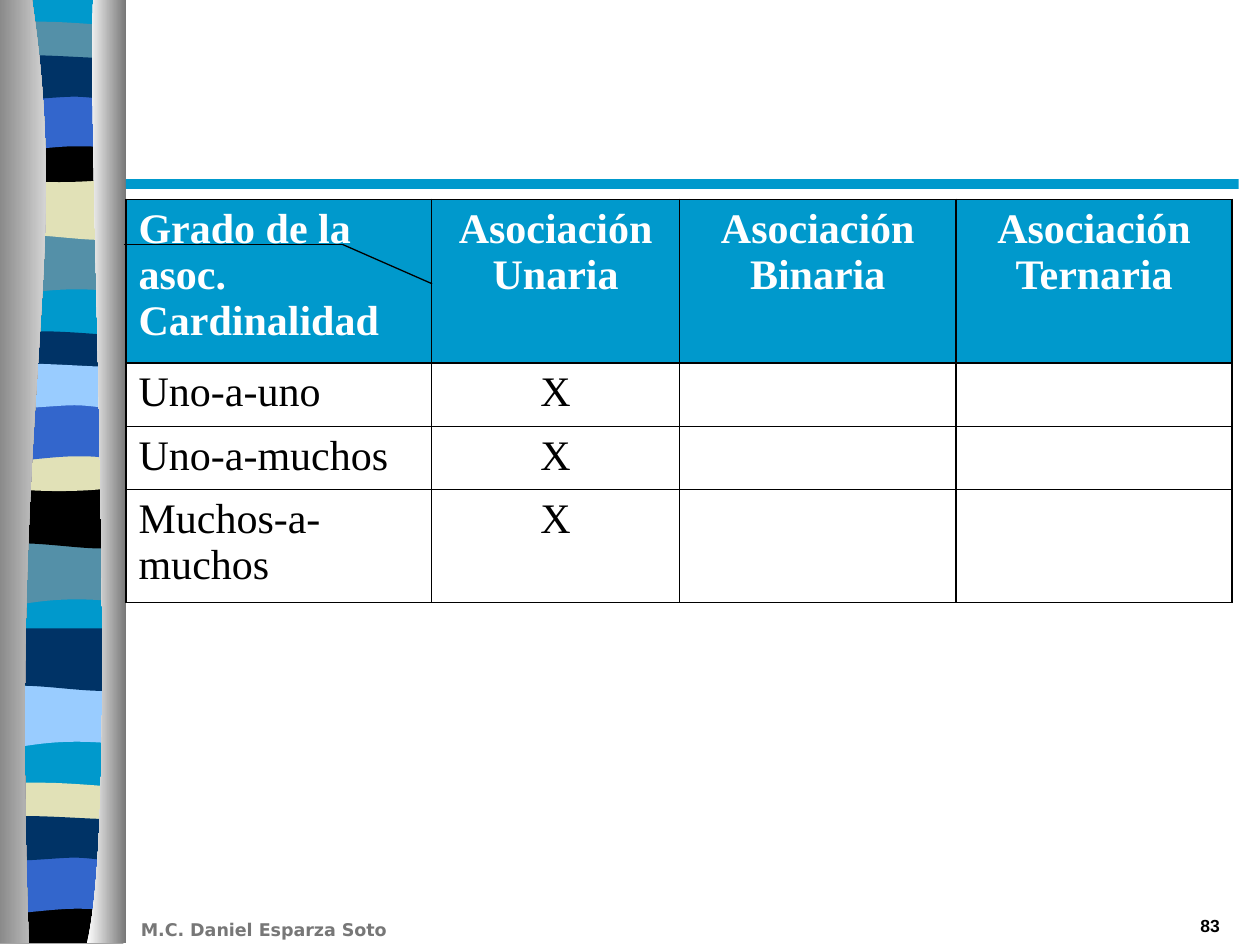
"""Build the association degree and cardinality table slide with its striped side ornament."""
from lxml import etree
from pptx import Presentation
from pptx import util as u
from pptx.dml.color import RGBColor
from pptx.enum import shapes, text
from pptx.oxml import ns

COLORS = {
    "cyan": "0099CC", "teal": "5490A8", "sand": "E1E1B7", "navy": "003366",
    "blue": "3366CC", "sky": "99CCFF", "black": "000000", "white": "FFFFFF",
    "gray": "767676", "footer": "777777",
}
RGB = {name: RGBColor.from_string(value) for name, value in COLORS.items()}

OUTLINES = {
    "tail": [(2.49, 0), (2.49, 1.19), (0.69, 0.99, 0.33, 1.4, -0.13, 1.19), (-0.13, 0)],
    "swell": [(2.49, 0), (2.49, 1.19), (2.06, 1.4, 0.69, 1.04, -0.1, 1.19), (-0.1, 0)],
    "thin": [(2.49, 0.13), (2.49, 0.74), (2.06, 0.86, 0.33, 0.86, -0.13, 0.74), (-0.13, 0.13),
             (0.05, 0, 0.46, 0.03, 0.89, 0.03), (1.32, 0.03, 2.16, 0.1, 2.49, 0.13)],
    "dip": [(2.49, 0), (2.49, 0.81), (2.06, 0.97, 0.33, 0.97, -0.13, 0.81), (-0.13, 0),
            (1.5, 0.13, 1.96, 0, 2.49, 0)],
    "arch": [(2.49, 0), (2.49, 1.19), (2.08, 1.07, 1.93, 1.07, 1.5, 1.07),
             (1.07, 1.07, 0.28, 1.19, -0.13, 1.19), (-0.13, 0)],
    "wave": [(2.49, 0.13), (2.49, 0.91), (2.34, 1.04, 1.93, 0.91, 1.5, 0.91),
             (1.07, 0.91, 0.15, 1.04, -0.13, 0.91), (-0.13, 0.13),
             (0.25, 0, 1.65, 0.13, 2.08, 0.13)],
    "base": [(2.49, 0), (2.49, 0.94), (-0.13, 0.94), (-0.13, 0), (1.5, 0.13, 1.96, 0, 2.49, 0)],
    "back": [(2.49, 0), (2.49, 18.97), (-0.13, 18.97), (-0.13, 0)],
    "left pillar": [(0.64, -0.03), (1.47, 5.49, 0.18, 7.52, 0.58, 19.02),
                    (-0.23, 19.02), (-0.25, -0.03)],
    "right pillar": [(1.88, -0.03), (1.75, 3.18, 2.44, 16.41, 1.75, 19.02),
                     (2.55, 19.02), (2.55, 0)],
}
STRIPES = [
    ("back", 0, "cyan"),
    ("tail", 4.7, "teal"), ("swell", 3.58, "sand"), ("thin", 0.41, "teal"),
    ("dip", 2.74, "black"), ("arch", 1.88, "blue"), ("wave", 1.04, "navy"),
    ("tail", 10.95, "teal"), ("swell", 9.8, "black"), ("thin", 6.65, "navy"),
    ("dip", 8.97, "sand"), ("arch", 8.13, "blue"), ("wave", 7.26, "sky"),
    ("tail", 13.82, "sky"), ("swell", 12.67, "navy"), ("thin", 15.75, "sand"),
    ("base", 18.08, "black"), ("arch", 17.25, "blue"), ("wave", 16.38, "navy"),
]
PILLARS = [("left pillar", "gray", "white"), ("right pillar", "white", "gray")]


def add_outline(s, outline, top):
    """Draw line steps (x, y) and cubic steps (two controls and an end)."""
    (x, y), *steps = outline
    pts = [(step[i], step[i + 1]) for step in steps for i in range(0, len(step), 2)]
    fb = s.shapes.build_freeform(u.Cm(x), u.Cm(y + top))
    fb.add_line_segments([(u.Cm(px), u.Cm(py + top)) for px, py in pts])
    sp = fb.convert_to_shape()
    lines = sp._element.iter(ns.qn("a:lnTo"))
    lines = iter(list(lines))
    for step in steps:
        ln = next(lines)
        if len(step) == 6:
            ln.tag = ns.qn("a:cubicBezTo")
            for extra in (next(lines), next(lines)):
                ln.append(extra[0])
                extra.getparent().remove(extra)
    sp.shadow.inherit = False
    sp.line.fill.background()
    return sp


def add_run(p, words, size, font, color, bold):
    r = p.add_run()
    r.text = words
    r.font.size = u.Pt(size)
    r.font.name = font
    r.font.bold = bold
    r.font.color.rgb = RGB[color]


prs = Presentation()
prs.slide_width, prs.slide_height = u.Cm(25.4), u.Cm(19.05)
s = prs.slides.add_slide(prs.slide_layouts[6])

for name, top, color in STRIPES:
    sp = add_outline(s, OUTLINES[name], top)
    sp.fill.solid()
    sp.fill.fore_color.rgb = RGB[color]

for name, *ends in PILLARS:
    sp = add_outline(s, OUTLINES[name], 0)
    sp.fill.gradient()
    sp.fill.gradient_angle = 0
    for stop, color in zip(sp.fill.gradient_stops, ends):
        stop.color.rgb = RGB[color]

bar = s.shapes.add_shape(shapes.MSO_SHAPE.RECTANGLE, u.Cm(2.54), u.Cm(3.61), u.Cm(22.43), u.Cm(0.2))
bar.shadow.inherit = False
bar.fill.solid()
bar.fill.fore_color.rgb = RGB["cyan"]
bar.line.fill.background()

ROWS = [
    [["Grado de la asoc.", "Cardinalidad"], ["Asociación Unaria"],
     ["Asociación Binaria"], ["Asociación Ternaria"]],
    [["Uno-a-uno"], ["X"], [], []],
    [["Uno-a-muchos"], ["X"], [], []],
    [["Muchos-a-muchos"], ["X"], [], []],
]
WIDTHS = [6.16, 5.0, 5.57, 5.57]
HEIGHTS = [3.3, 1.28, 1.27, 2.28]
table = s.shapes.add_table(4, 4, u.Cm(2.54), u.Cm(4.02), u.Cm(sum(WIDTHS)), u.Cm(sum(HEIGHTS))).table
table.first_row = table.horz_banding = False
for col, width in zip(table.columns, WIDTHS):
    col.width = u.Cm(width)
for i, (row, height) in enumerate(zip(ROWS, HEIGHTS)):
    table.rows[i].height = u.Cm(height)
    for j, lines in enumerate(row):
        cell = table.cell(i, j)
        tcPr = cell._tc.get_or_add_tcPr()
        for side in ("a:lnL", "a:lnR", "a:lnT", "a:lnB"):
            ln = etree.SubElement(tcPr, ns.qn(side), w=str(u.Pt(1)))
            fill = etree.SubElement(ln, ns.qn("a:solidFill"))
            etree.SubElement(fill, ns.qn("a:srgbClr"), val=COLORS["black"])
        if i == 0:
            cell.fill.solid()
            cell.fill.fore_color.rgb = RGB["cyan"]
        else:
            cell.fill.background()
        tf = cell.text_frame
        for n, words in enumerate(lines):
            p = tf.add_paragraph() if n else tf.paragraphs[0]
            p.alignment = text.PP_ALIGN.CENTER if j else text.PP_ALIGN.LEFT
            add_run(p, words, 24, "Times New Roman", "black" if i else "white", i == 0)

FOOTERS = [
    (2.59, 18.41, 7.19, "M.C. Daniel Esparza Soto", "DejaVu Sans", "footer", text.PP_ALIGN.LEFT),
    (19.56, 18.33, 5.28, "83", "Arial", "black", text.PP_ALIGN.RIGHT),
]
for x, y, width, words, font, color, align in FOOTERS:
    tf = s.shapes.add_textbox(u.Cm(x), u.Cm(y), u.Cm(width), u.Cm(0.68)).text_frame
    tf.word_wrap = True
    p = tf.paragraphs[0]
    p.alignment = align
    add_run(p, words, 10, font, color, True)

DIVIDER = [(2.49, 4.93), (6.91, 4.93), (8.71, 5.72)]
for (x1, y1), (x2, y2) in zip(DIVIDER, DIVIDER[1:]):
    cx = s.shapes.add_connector(shapes.MSO_CONNECTOR.STRAIGHT, u.Cm(x1), u.Cm(y1), u.Cm(x2), u.Cm(y2))
    cx.line.color.rgb = RGB["black"]
    cx.line.width = u.Pt(0.75)
    etree.SubElement(cx._element.spPr, ns.qn("a:effectLst"))

prs.save("out.pptx")
